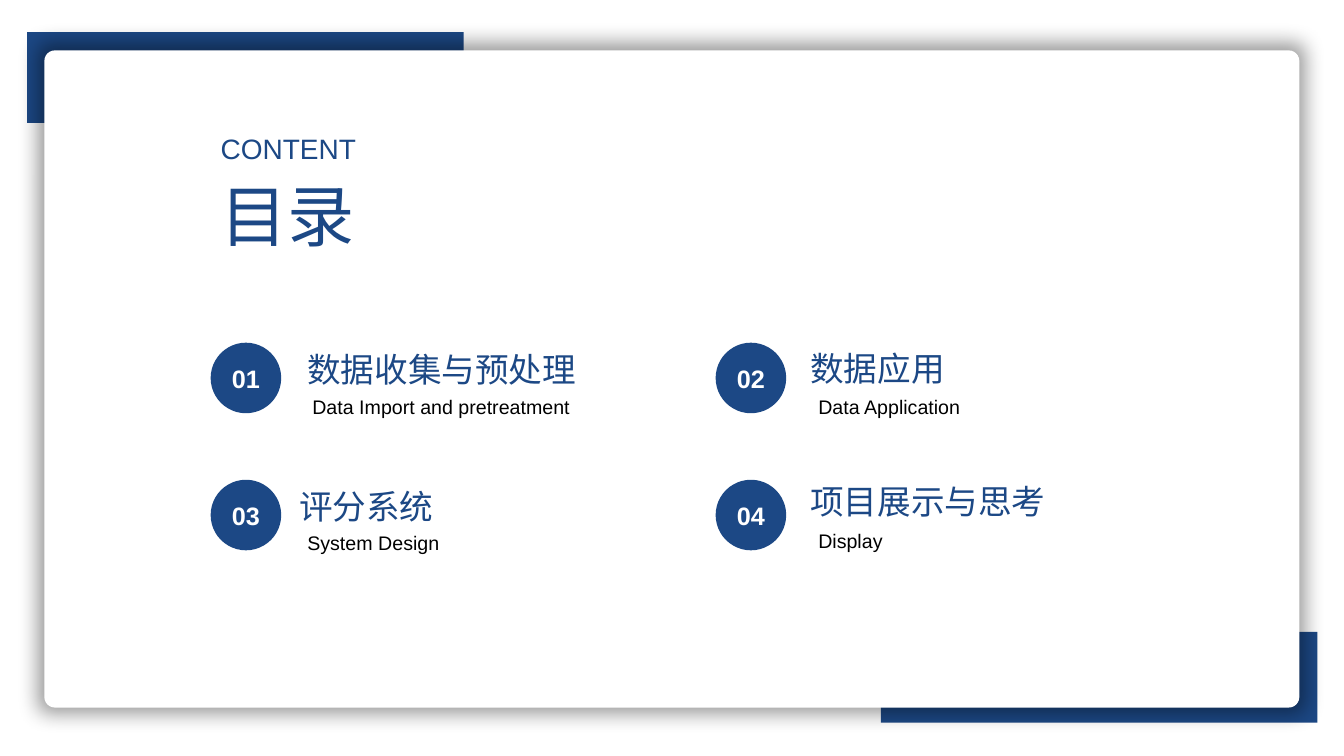
"""Build a contents slide with four numbered topics on a shadowed card."""
from lxml import etree
from pptx import Presentation
from pptx import util as u
from pptx.dml.color import RGBColor
from pptx.enum import shapes, text

Pt = u.Pt
KIND = shapes.MSO_SHAPE
ALIGN = text.PP_ALIGN
HUES = {"navy": "1C4885", "white": "FFFFFF", "black": "000000"}
NS = "http://schemas.openxmlformats.org/drawingml/2006/main"
SHADOW = f"""<a:effectLst xmlns:a="{NS}">
<a:outerShdw blurRad="190500" dist="0" sx="101000" sy="102000" algn="ctr" rotWithShape="0">
<a:srgbClr val="000000"><a:alpha val="40000"/></a:srgbClr></a:outerShdw></a:effectLst>"""

FORMS = {
    "title": {"size": Pt(48), "hue": "navy", "align": ALIGN.JUSTIFY},
    "label": {"size": Pt(20), "hue": "navy", "align": ALIGN.JUSTIFY},
    "head": {"size": Pt(24), "hue": "navy", "align": ALIGN.JUSTIFY},
    "note": {"size": Pt(14), "hue": "black", "align": ALIGN.LEFT},
    "badge": {"size": Pt(18), "hue": "white", "align": ALIGN.CENTER, "bold": True},
}
BARS = [(629.3, 451.4), (19.4, 23)]
LEFTS = (150.5, 511.2)
TOPS = (244.8, 342.7)
TOPICS = [
    ("数据收集与预处理", (212.4, 245.5, 233), "Data Import and pretreatment", (216, 278.6, 220)),
    ("数据应用", (571.7, 244.8, 175), "Data Application", (577.4, 278.6, 142)),
    ("评分系统", (206.6, 343.4, 175), "System Design", (212.4, 375.8, 154)),
    ("项目展示与思考", (571.7, 339.8, 228), "Display", (577.4, 374.4, 121)),
]


def color(name):
    """Return the named colour."""
    return RGBColor.from_string(HUES[name])


def write(shape, words, form):
    """Put formatted text into a shape."""
    para = shape.text_frame.paragraphs[0]
    para.text = words
    style = dict(FORMS[form], name="Arial")
    para.alignment = style.pop("align")
    font = para.runs[0].font
    font.color.rgb = color(style.pop("hue"))
    for key, value in style.items():
        setattr(font, key, value)


def frame(shape):
    """Set wrapping and top anchoring for free text."""
    values = {
        "word_wrap": True,
        "vertical_anchor": text.MSO_ANCHOR.TOP,
        "auto_size": text.MSO_AUTO_SIZE.SHAPE_TO_FIT_TEXT,
    }
    for key, value in values.items():
        setattr(shape.text_frame, key, value)


def block(slide, kind, box, hue):
    """Add a plain filled shape."""
    shape = slide.shapes.add_shape(kind, *map(Pt, box))
    shape.shadow.inherit = False
    shape.fill.solid()
    shape.fill.fore_color.rgb = color(hue)
    shape.line.fill.background()
    return shape


def card(slide):
    """Add the rounded white card with its soft shadow."""
    shape = block(slide, KIND.ROUNDED_RECTANGLE, (31.7, 36, 896.4, 469.4), "white")
    shape.adjustments[0] = 0.016
    props = shape.element.spPr
    props.replace(props.find(f"{{{NS}}}effectLst"), etree.fromstring(SHADOW))


def title(slide, words, box):
    """Place the title placeholder above the card."""
    shape = slide.shapes.title
    for key, value in zip(("left", "top", "width", "height"), box):
        setattr(shape, key, Pt(value))
    frame(shape)
    write(shape, words, "title")
    shape.element.getparent().append(shape.element)


def label(slide, words, box, form):
    """Add a text box."""
    shape = slide.shapes.add_textbox(*map(Pt, box))
    frame(shape)
    write(shape, words, form)


def badge(slide, words, left, top):
    """Add a numbered circle."""
    shape = block(slide, KIND.OVAL, (left, top, 50.4, 50.4), "navy")
    body = shape.text_frame
    body.vertical_anchor = text.MSO_ANCHOR.MIDDLE
    body.margin_left = body.margin_right = 0
    write(shape, words, "badge")


def main():
    """Build and save the slide."""
    deck = Presentation()
    deck.slide_width, deck.slide_height = Pt(960), Pt(540)
    slide = deck.slides.add_slide(deck.slide_layouts[5])
    for spot in BARS:
        block(slide, KIND.RECTANGLE, (*spot, 311.8, 64.8), "navy")
    card(slide)
    title(slide, "目录", (150.5, 121, 182.9, 65.5))
    label(slide, "CONTENT", (150.5, 90.7, 182.9, 31.7), "label")
    for num, (head, spot, note, place) in enumerate(TOPICS):
        row, col = divmod(num, 2)
        badge(slide, f"{num + 1:02}", LEFTS[col], TOPS[row])
        label(slide, head, (*spot, 36), "head")
        label(slide, note, (*place, 24.5), "note")
    deck.save("out.pptx")


if __name__ == "__main__":
    main()
